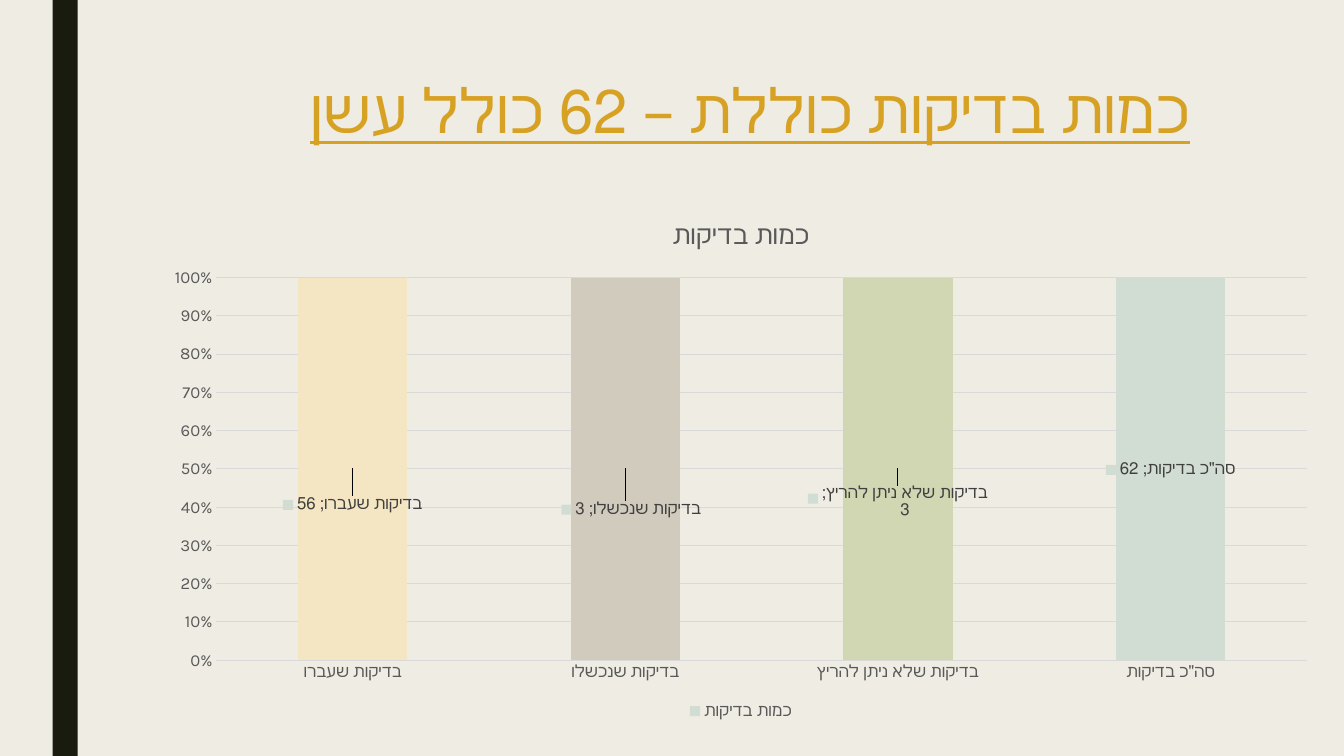
"""Build a slide with a percent-stacked column chart of test counts."""
from copy import deepcopy
from dataclasses import dataclass
from typing import Any

from pptx import Presentation
from pptx.chart.data import CategoryChartData as Data
from pptx.dml.color import RGBColor as Rgb
from pptx.enum.chart import XL_CHART_TYPE as Kind, XL_LEGEND_POSITION as Spot, XL_TICK_MARK as Tick
from pptx.enum.shapes import MSO_SHAPE as Form
from pptx.enum.text import MSO_ANCHOR as Anchor, PP_ALIGN as Align
from pptx.oxml import parse_xml
from pptx.oxml.ns import nsdecls, qn
from pptx.util import Pt

HUES = {
    "back": "EFEDE3", "band": "191B0E", "gold": "D7A124", "grey": "595959",
    "dark": "404040", "grid": "D9D9D9", "mint": "D1DDD2", "sand": "F5E6C3",
    "stone": "D1CBBE", "moss": "D1D7B2",
}
TESTS = [
    ("בדיקות שעברו", 56, "sand", (0, 0.067)),
    ("בדיקות שנכשלו", 3, "stone", (0.005, 0.076)),
    ("בדיקות שלא ניתן להריץ", 3, "moss", (0, 0.063)),
    ("סה״כ בדיקות", 62, "mint", (0, 0)),
]
FLAGS = {"LegendKey": 1, "Val": 1, "CatName": 1, "SerName": 0, "Percent": 0, "BubbleSize": 0}


@dataclass
class Deck:
    slide: Any
    hues: dict
    face: str = "Karla"

    def fill(self, fill, hue):
        fill.solid()
        fill.fore_color.rgb = Rgb.from_string(self.hues[hue])

    def font(self, font, size, hue, face=None):
        font.name, font.size, font.bold = face or self.face, Pt(size), False
        font.color.rgb = Rgb.from_string(self.hues[hue])

    def line(self, line, hue):
        line.width = Pt(0.75)
        line.color.rgb = Rgb.from_string(self.hues[hue])

    def band(self, *box, hue):
        shape = self.slide.shapes.add_shape(Form.RECTANGLE, *map(Pt, box))
        shape.shadow.inherit = False
        self.fill(shape.fill, hue)
        shape.line.fill.background()

    def text(self, words, *box, size, hue, face, space):
        frame = self.slide.shapes.add_textbox(*map(Pt, box)).text_frame
        frame.word_wrap = True
        frame.vertical_anchor = Anchor.TOP
        para = frame.paragraphs[0]
        para.alignment, para.line_spacing = Align.LEFT, space
        para._p.get_or_add_pPr().set("rtl", "1")
        run = para.add_run()
        run.text = words
        run.font.underline = True
        self.font(run.font, size, hue, face)

    def label(self, group, idx, x, y):
        flags = "".join(f'<c:show{key} val="{on}"/>' for key, on in FLAGS.items())
        item = parse_xml(
            f'<c:dLbl {nsdecls("c")}><c:idx val="{idx}"/><c:layout><c:manualLayout>'
            f'<c:x val="{x}"/><c:y val="{y}"/></c:manualLayout></c:layout>'
            f'{flags}<c:separator>; </c:separator></c:dLbl>')
        item.insert(2, deepcopy(group.find(qn("c:txPr"))))
        group.insert(idx, item)

    def chart(self, name, tests, *box):
        data = Data()
        data.categories = [test[0] for test in tests]
        data.add_series(name, [test[1] for test in tests])
        kind = Kind.COLUMN_STACKED_100
        chart = self.slide.shapes.add_chart(kind, *map(Pt, box), data).chart
        self.font(chart.font, 12, "grey")
        chart.has_title = True
        title = chart.chart_title
        title.include_in_layout = False
        title.text_frame.text = name
        self.font(title.text_frame.paragraphs[0].runs[0].font, 18.6, "grey")
        chart.has_legend = True
        chart.legend.position = Spot.BOTTOM
        chart.legend.include_in_layout = False
        self.font(chart.legend.font, 12, "grey")

        cats, vals = chart.category_axis, chart.value_axis
        for axis in (cats, vals):
            axis.major_tick_mark = axis.minor_tick_mark = Tick.NONE
            self.font(axis.tick_labels.font, 12, "grey")
        self.line(cats.format.line, "grid")
        vals.format.line.fill.background()
        vals.has_major_gridlines = True
        self.line(vals.major_gridlines.format.line, "grid")
        vals.tick_labels.number_format = "0%"
        vals.tick_labels.number_format_is_linked = False

        plot = chart.plots[0]
        plot.gap_width, plot.overlap, plot.vary_by_categories = 150, 100, False
        bars = plot.series[0]
        self.fill(bars.format.fill, "mint")
        marks = bars.data_labels
        marks.show_value = marks.show_category_name = marks.show_legend_key = True
        self.font(marks.font, 12, "dark")
        for idx, (_, _, hue, shift) in enumerate(tests):
            self.fill(bars.points[idx].format.fill, hue)
            self.label(marks._element, idx, *shift)


def main():
    show = Presentation()
    show.slide_width, show.slide_height = Pt(960), Pt(540)
    deck = Deck(show.slides.add_slide(show.slide_layouts[6]), HUES)
    deck.fill(deck.slide.background.fill, "back")
    deck.band(37.5, 0, 18, 540, hue="band")
    deck.text("כמות בדיקות כוללת – 62 כולל עשן", 214.5, 54, 649.5, 72,
              size=44, hue="gold", face="Quicksand", space=0.89)
    deck.chart("כמות בדיקות", TESTS, 108, 142.5, 842.4, 374.4)
    show.save("out.pptx")


if __name__ == "__main__":
    main()
